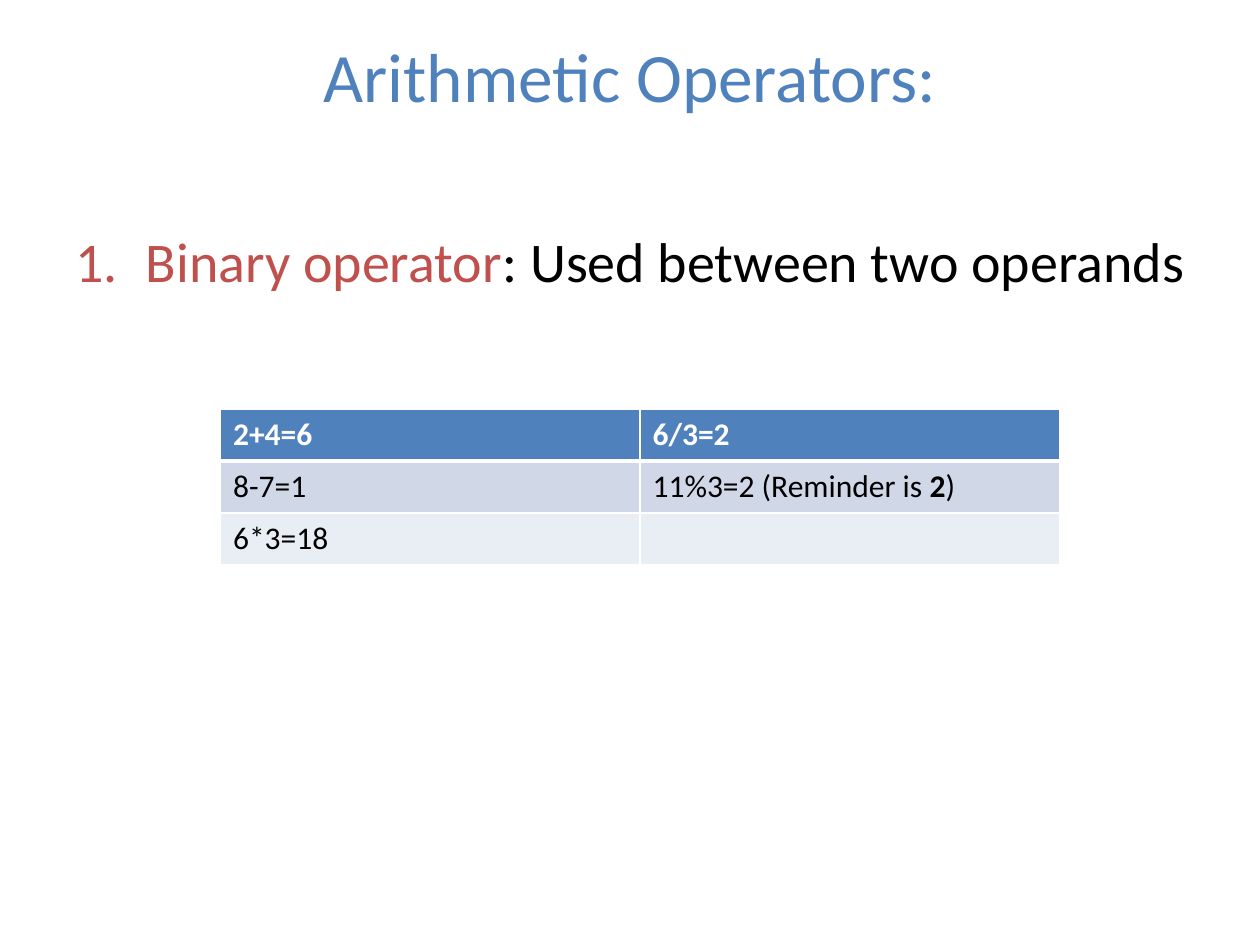
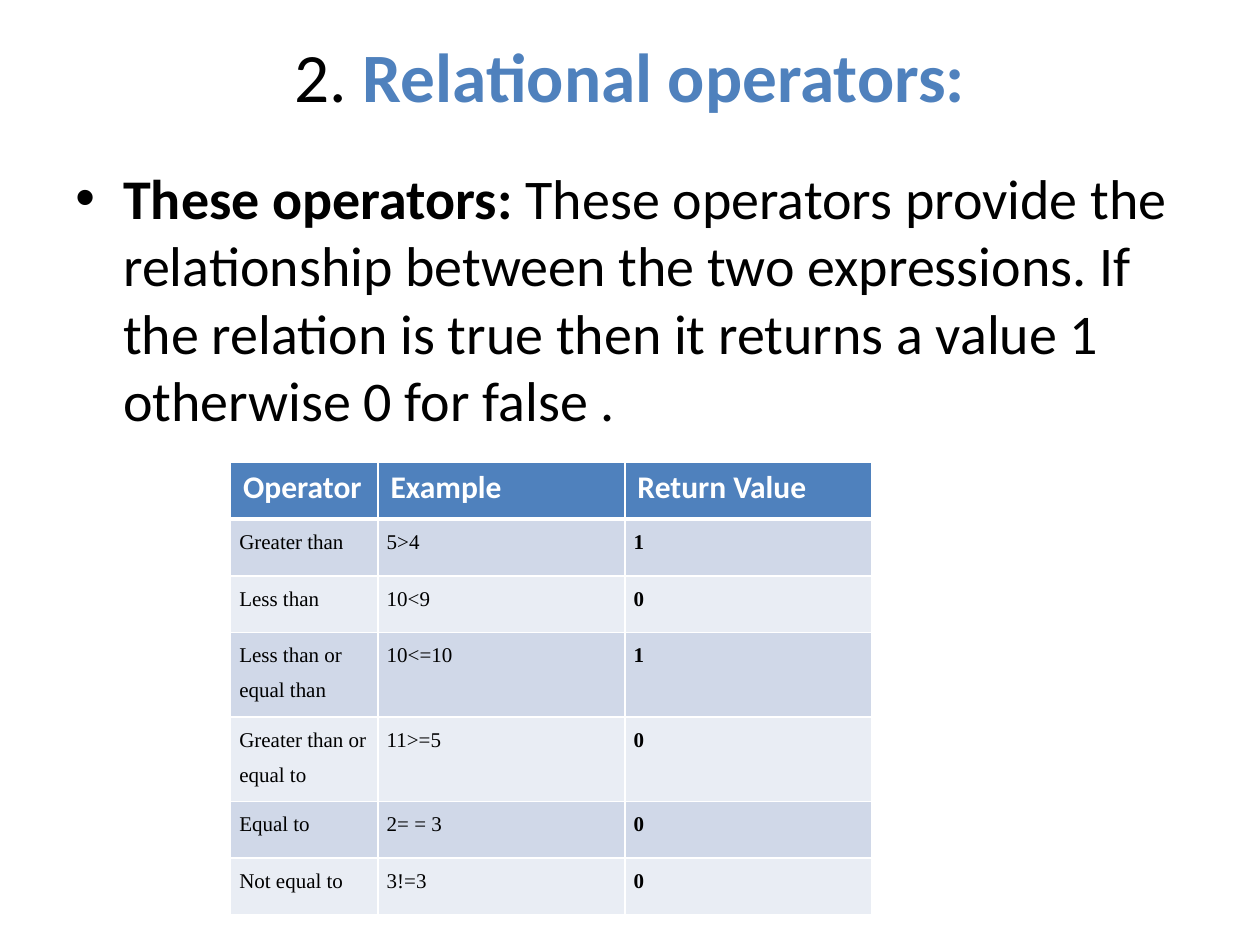
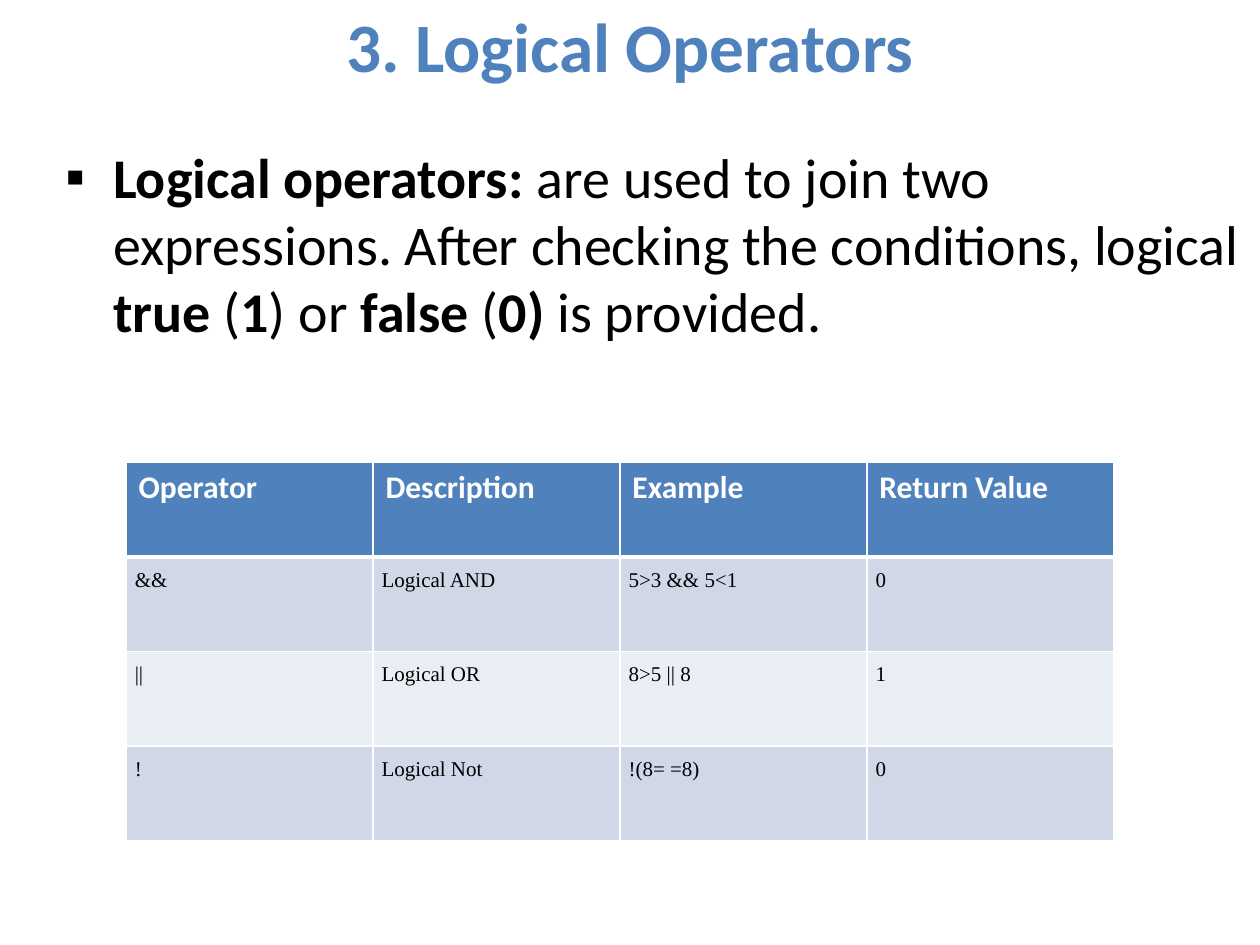
from dataclasses import dataclass
from typing import Any

from lxml import etree
from pptx import Presentation
from pptx.dml import color as dml
from pptx.enum import text
from pptx.oxml import ns
from pptx.util import Inches, Pt

BLUE, RED, BLACK, WHITE = "4F81BD", "C0504D", "000000", "FFFFFF"
BANDS = ("D0D8E8", "E9EDF4")
TITLE_ONLY = 5


@dataclass(frozen=True)
class Run:
    text: str
    bold: bool = False
    color: str = BLACK


@dataclass(frozen=True)
class Box:
    left: float
    top: float
    width: float
    height: float

    def lengths(self) -> list[Any]:
        return [Inches(n) for n in (self.left, self.top, self.width, self.height)]


@dataclass(frozen=True)
class Body:
    box: Box
    bullet: str  # a bullet character, or "1." for automatic numbers
    indent: float
    runs: list[Run]


@dataclass(frozen=True)
class Grid:
    left: float
    top: float
    columns: list[float]
    rows: list[float]
    header: list[str]
    cells: list[list[str | Run | list[Run]]]
    compact: bool = True  # small serif text with wide line spacing


@dataclass(frozen=True)
class OperatorSlide:
    title: list[Run]
    title_height: float
    body: Body
    grid: Grid


def rgb(value: str) -> dml.RGBColor:
    return dml.RGBColor.from_string(value)


def apply(target: Any, values: dict[str, Any]) -> None:
    for name, value in values.items():
        setattr(target, name, value)


def add_element(parent: Any, tag: str, **attributes: str) -> Any:
    return etree.SubElement(parent, ns.qn(tag), attributes)


def add_runs(paragraph: Any, runs: list[Run], size: float, font: str = "Calibri") -> None:
    for part in runs:
        run = paragraph.add_run()
        run.text = part.text
        apply(run.font, {"size": Pt(size), "name": font, "bold": part.bold})
        run.font.color.rgb = rgb(part.color)


# Title and body text
def add_title(slide: Any, runs: list[Run], height: float) -> None:
    title = slide.shapes.title
    box = Box(0.5, 0.3, 9, height)
    apply(title, dict(zip(("left", "top", "width", "height"), box.lengths())))
    # The deep bottom margin lifts the title by half a line
    apply(title.text_frame, {
        "word_wrap": True,
        "auto_size": text.MSO_AUTO_SIZE.NONE,
        "vertical_anchor": text.MSO_ANCHOR.MIDDLE,
        "margin_top": Inches(0.05),
        "margin_bottom": Inches(0.72),
    })
    paragraph = title.text_frame.paragraphs[0]
    paragraph.alignment = text.PP_ALIGN.CENTER
    add_runs(paragraph, runs, 39.6)


def add_body(slide: Any, body: Body) -> None:
    frame = slide.shapes.add_textbox(*body.box.lengths()).text_frame
    frame.word_wrap = True
    paragraph = frame.paragraphs[0]
    properties = paragraph._p.get_or_add_pPr()
    properties.set("marL", str(Inches(body.indent)))
    properties.set("indent", str(-Inches(body.indent)))
    if body.bullet == "1.":
        add_element(properties, "a:buFont", typeface="+mj-lt")
        add_element(properties, "a:buAutoNum", type="arabicPeriod")
    else:
        add_element(properties, "a:buFont", typeface="Arial")
        add_element(properties, "a:buChar", char=body.bullet)
    add_runs(paragraph, body.runs, 32)


# Tables
def style_cell(cell: Any, row: int) -> None:
    properties = cell._tc.get_or_add_tcPr()
    widths = {"L": 1, "R": 1, "T": 3 if row == 1 else 1, "B": 3 if row == 0 else 1}
    for side, width in widths.items():
        line = add_element(properties, f"a:ln{side}", w=str(Pt(width)))
        add_element(add_element(line, "a:solidFill"), "a:srgbClr", val=WHITE)
    cell.fill.solid()
    cell.fill.fore_color.rgb = rgb(BANDS[(row - 1) % 2] if row else BLUE)


def fill_cell(cell: Any, content: str | Run | list[Run], compact: bool) -> None:
    paragraph = cell.text_frame.paragraphs[0]
    if isinstance(content, str):
        content = Run(content)
    runs = content if isinstance(content, list) else [content]
    if compact:
        apply(cell, {"margin_left": Inches(0.07), "margin_right": Inches(0.07),
                     "margin_top": 0, "margin_bottom": 0})
        apply(paragraph, {"line_spacing": 1.5, "space_after": Pt(10)})
        add_runs(paragraph, runs, 12, "Times New Roman")
    else:
        add_runs(paragraph, [run for run in runs if run.text], 18)


def add_grid(slide: Any, grid: Grid) -> None:
    box = Box(grid.left, grid.top, sum(grid.columns), sum(grid.rows))
    table = slide.shapes.add_table(len(grid.rows), len(grid.columns), *box.lengths()).table
    for column, width in zip(table.columns, grid.columns):
        column.width = Inches(width)
    for row, height in zip(table.rows, grid.rows):
        row.height = Inches(height)
    header = [Run(label, True, WHITE) for label in grid.header]
    for row, contents in enumerate([header, *grid.cells]):
        for column, content in enumerate(contents):
            cell = table.cell(row, column)
            style_cell(cell, row)
            fill_cell(cell, content, grid.compact and row > 0)


SLIDES = [
    OperatorSlide(
        [Run("Arithmetic Operators:", color=BLUE)], 1.25,
        Body(Box(0.5, 1.75, 9.5, 4.95), "1.", 0.56,
             [Run("Binary operator", color=RED), Run(": Used between two operands")]),
        Grid(1.75, 3.25, [3.33] * 2, [0.41] * 3,
             ["2+4=6", "6/3=2"],
             [["8-7=1", [Run("11%3=2 (Reminder is "), Run("2", True), Run(")")]],
              ["6*3=18", ""]],
             compact=False),
    ),
    OperatorSlide(
        [Run("2. "), Run("Relational operators:", True, BLUE)], 1.25,
        Body(Box(0.5, 1.25, 9, 5.45), "•", 0.38,
             [Run("These operators:", True),
              Run(" These operators provide the relationship between the two expressions. "
                  "If the relation is true then it returns a value 1 otherwise 0 for false .")]),
        Grid(1.83, 3.67, [1.17, 1.96, 1.96], [0.45] * 3 + [0.67] * 2 + [0.45] * 2,
             ["Operator", "Example", "Return Value"],
             [[name, example, Run(value, True)] for name, example, value in (
                 ("Greater than", "5>4", "1"),
                 ("Less than", "10<9", "0"),
                 ("Less than or equal than", "10<=10", "1"),
                 ("Greater than or equal to", "11>=5", "0"),
                 ("Equal to", "2= = 3", "0"),
                 ("Not equal to", "3!=3", "0"),
             )]),
    ),
    OperatorSlide(
        [Run("3. Logical Operators", True, BLUE)], 0.78,
        Body(Box(0.42, 1.08, 9.58, 5.62), "▪", 0.38,
             [Run("Logical operators:", True),
              Run(" are used to join two expressions. After checking the conditions, logical "),
              Run("true", True), Run(" ("), Run("1", True), Run(") or "),
              Run("false", True), Run(" ("), Run("0)", True), Run(" is provided.")]),
        Grid(1, 3.67, [1.96] * 4, [0.75] * 4,
             ["Operator", "Description", "Example", "Return Value"],
             [["&&", "Logical AND", "5>3 && 5<1", "0"],
              ["||", "Logical OR", "8>5 || 8", "1"],
              ["!", "Logical Not", "!(8= =8)", "0"]]),
    ),
]


def main() -> None:
    presentation = Presentation()
    apply(presentation, {"slide_width": Inches(10), "slide_height": Inches(7.5)})
    for content in SLIDES:
        slide = presentation.slides.add_slide(presentation.slide_layouts[TITLE_ONLY])
        add_title(slide, content.title, content.title_height)
        add_body(slide, content.body)
        add_grid(slide, content.grid)
    presentation.save("out.pptx")


if __name__ == "__main__":
    main()
